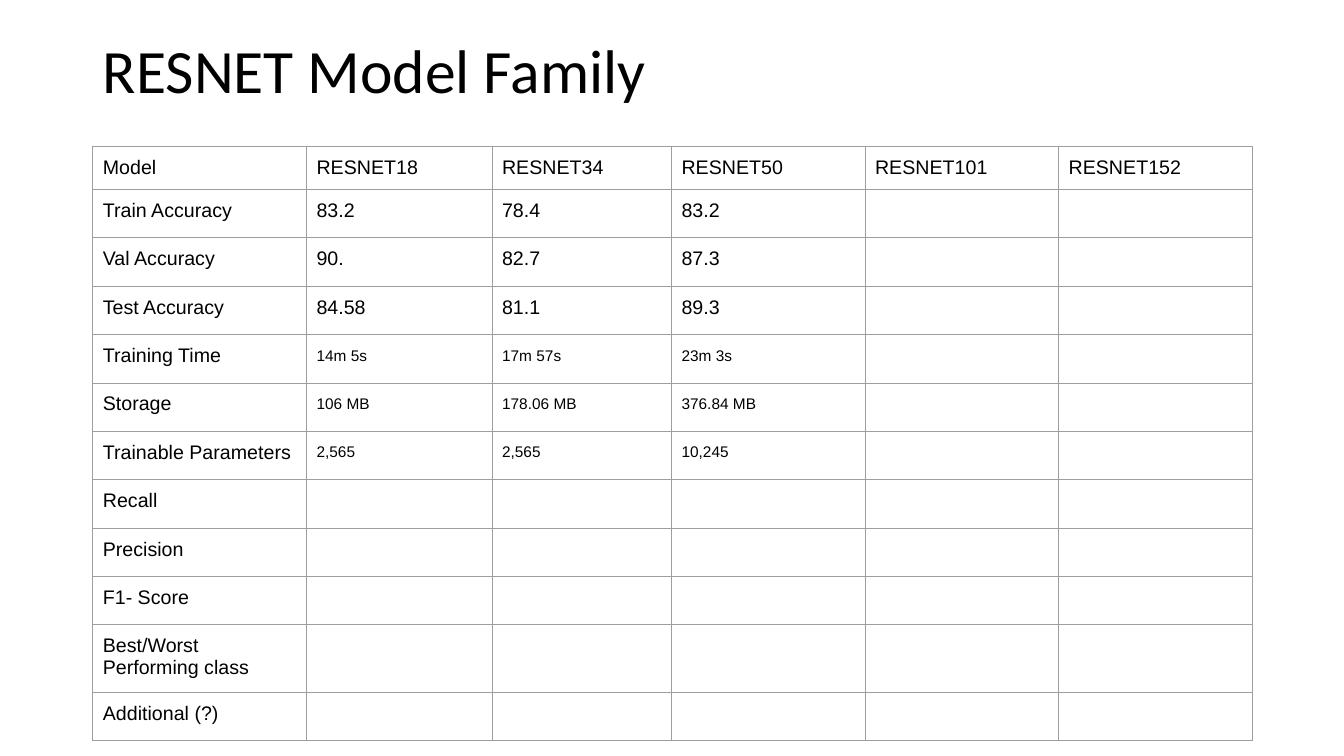
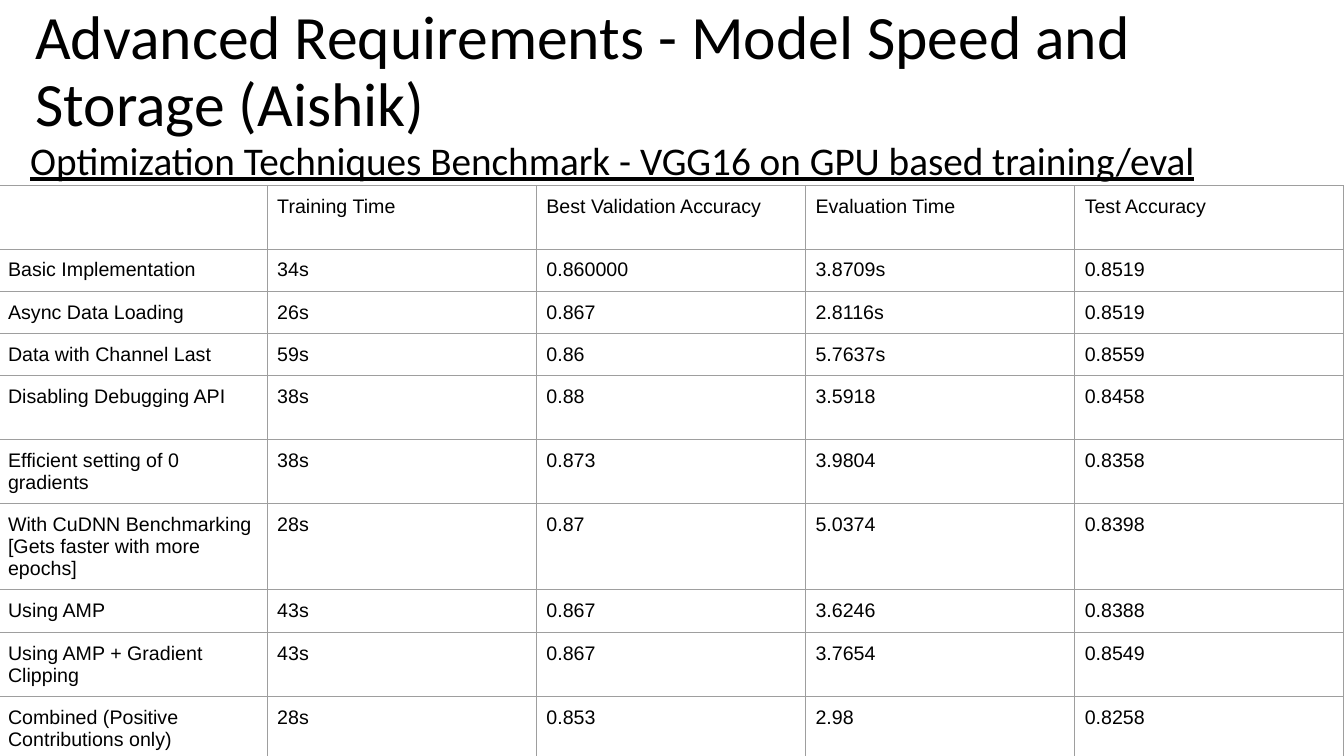
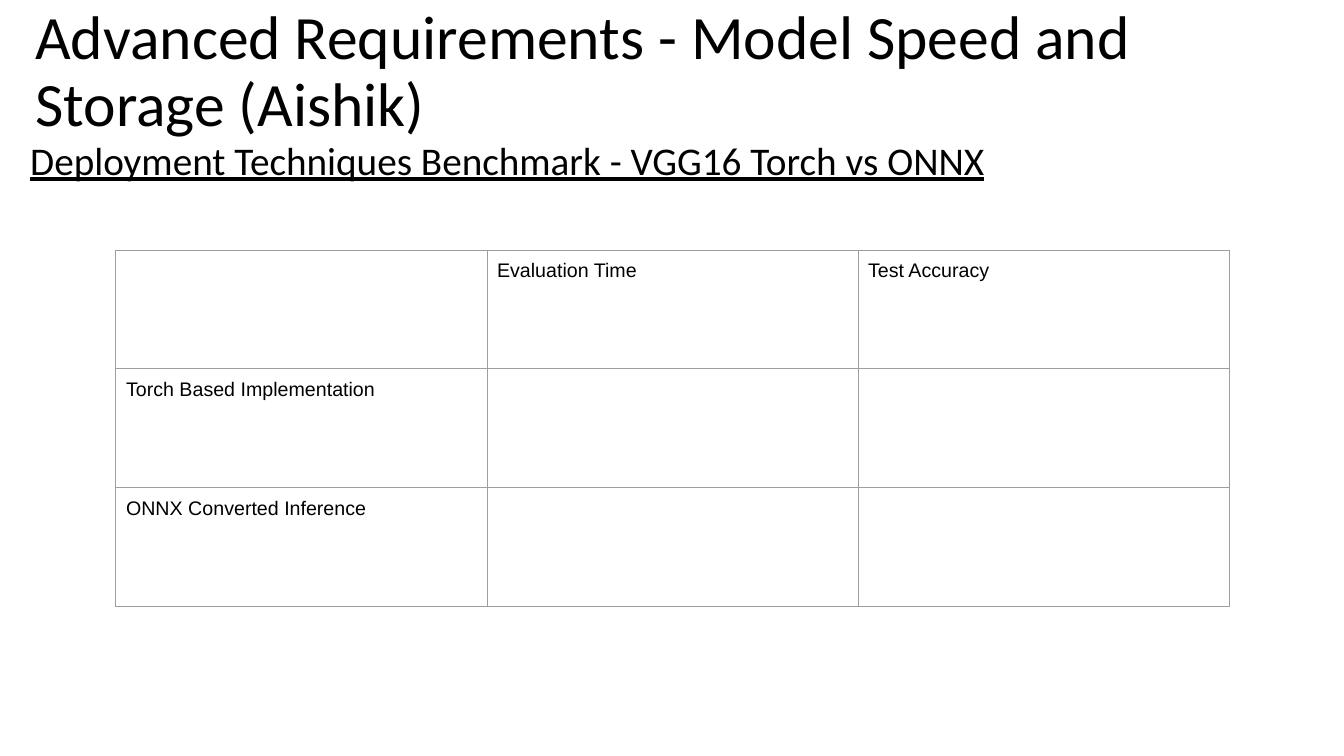
from lxml.etree import SubElement
from pptx import Presentation
from pptx.dml.color import RGBColor as Color
from pptx.enum.text import MSO_ANCHOR as Anchor, MSO_AUTO_SIZE as AutoSize, PP_ALIGN as Align
from pptx.oxml.ns import qn
from pptx.util import Emu, Pt

PX = 9144
THEME = {
    "border": "9E9E9E",
    "border_width": Pt(0.75),
    "cell_margin": 10,
    "empty_margin": 5,
    "ink": Color(0, 0, 0),
    "title": {
        "font": {"name": "Calibri", "size": Pt(44)},
        "paragraph": {"line_spacing": 0.9, "alignment": Align.LEFT},
    },
    "subtitle": {
        "font": {"name": "Calibri", "size": Pt(28), "underline": True},
        "paragraph": {"line_spacing": 0.9, "space_before": Pt(10)},
    },
    "cell": {"font": {"name": "Arial", "size": Pt(14)}, "paragraph": {}},
    "small": {"font": {"name": "Arial", "size": Pt(11)}, "paragraph": {"line_spacing": 1.15}},
}
SPEED_TITLE = "Advanced Requirements - Model Speed and Storage (Aishik)"
SPEED_TITLE_BOX = (25, 0, 1284, 145)
SUBTITLE_BOX = (20, 135, 1313, 615)

PAGES = [
    {
        "title": "RESNET Model Family",
        "title_box": (92, 0, 1150, 145),
        "subtitle": None,
        "origin": (92, 145),
        "columns": [212, 184, 178, 192, 192, 192],
        "heights": [43] + [48] * 9 + [67, 48],
        "small_rows": range(4, 7),
        "rows": [
            ["Model", "RESNET18", "RESNET34", "RESNET50", "RESNET101", "RESNET152"],
            ["Train Accuracy", "83.2", "78.4", "83.2"],
            ["Val Accuracy", "90.", "82.7", "87.3"],
            ["Test Accuracy", "84.58", "81.1", "89.3"],
            ["Training Time", "14m 5s", "17m 57s", "23m 3s"],
            ["Storage", "106 MB", "178.06 MB", "376.84 MB"],
            ["Trainable Parameters", "2,565", "2,565", "10,245"],
            ["Recall"],
            ["Precision"],
            ["F1- Score"],
            ["Best/Worst Performing class"],
            ["Additional (?)"],
        ],
    },
    {
        "title": SPEED_TITLE,
        "title_box": SPEED_TITLE_BOX,
        "subtitle": "Optimization Techniques Benchmark - VGG16 on GPU based training/eval",
        "origin": (-2, 184),
        "columns": [267] * 5,
        "heights": [63, 42, 42, 42, 63, 63, 85, 42, 63, 63],
        "small_rows": [],
        "rows": [
            ["", "Training Time", "Best Validation Accuracy", "Evaluation Time", "Test Accuracy"],
            ["Basic Implementation", "34s", "0.860000", "3.8709s", "0.8519"],
            ["Async Data Loading", "26s", "0.867", "2.8116s", "0.8519"],
            ["Data with Channel Last", "59s", "0.86", "5.7637s", "0.8559"],
            ["Disabling Debugging API", "38s", "0.88", "3.5918", "0.8458"],
            ["Efficient setting of 0 gradients", "38s", "0.873", "3.9804", "0.8358"],
            ["With CuDNN Benchmarking [Gets faster with more epochs]", "28s", "0.87", "5.0374", "0.8398"],
            ["Using AMP", "43s", "0.867", "3.6246", "0.8388"],
            ["Using AMP + Gradient Clipping", "43s", "0.867", "3.7654", "0.8549"],
            ["Combined (Positive Contributions only)", "28s", "0.853", "2.98", "0.8258"],
        ],
    },
    {
        "title": SPEED_TITLE,
        "title_box": SPEED_TITLE_BOX,
        "subtitle": "Deployment Techniques Benchmark - VGG16 Torch vs ONNX",
        "origin": (115, 248),
        "columns": [368] * 3,
        "heights": [118] * 3,
        "small_rows": [],
        "rows": [
            ["", "Evaluation Time", "Test Accuracy"],
            ["Torch Based Implementation"],
            ["ONNX Converted Inference"],
        ],
    },
]


def write(frame, text, style):
    para = frame.paragraphs[0]
    span = para.add_run()
    span.text = text
    span.font.color.rgb = THEME["ink"]
    for name, value in THEME[style]["font"].items():
        setattr(span.font, name, value)
    for name, value in THEME[style]["paragraph"].items():
        setattr(para, name, value)
    return para


def fill_placeholder(holder, box, text, style, anchor):
    for name, value in zip(("left", "top", "width", "height"), box):
        setattr(holder, name, Emu(value * PX))
    frame = holder.text_frame
    frame.word_wrap = True
    frame.auto_size = AutoSize.NONE
    frame.vertical_anchor = anchor
    return write(frame, text, style)


deck = Presentation()
deck.slide_width = Emu(1333 * PX)
deck.slide_height = Emu(750 * PX)
TITLE_AND_BODY, TITLE_ONLY = deck.slide_layouts[1], deck.slide_layouts[5]

for content in PAGES:
    page = deck.slides.add_slide(TITLE_AND_BODY if content["subtitle"] else TITLE_ONLY)
    fill_placeholder(page.shapes.title, content["title_box"], content["title"], "title", Anchor.MIDDLE)
    if content["subtitle"]:
        para = fill_placeholder(page.placeholders[1], SUBTITLE_BOX, content["subtitle"], "subtitle", Anchor.TOP)
        properties = para._p.get_or_add_pPr()
        properties.set("marL", "0")
        properties.set("indent", "0")
        SubElement(properties, qn("a:buNone"))

    columns, heights = content["columns"], content["heights"]
    box = (*content["origin"], sum(columns), sum(heights))
    table = page.shapes.add_table(len(heights), len(columns), *[Emu(value * PX) for value in box]).table
    table.first_row = False
    table.horz_banding = False
    for column, width in zip(table.columns, columns):
        column.width = Emu(width * PX)

    for row_index, (height, texts) in enumerate(zip(heights, content["rows"])):
        table.rows[row_index].height = Emu(height * PX)
        for column_index in range(len(columns)):
            cell = table.cell(row_index, column_index)
            text = texts[column_index] if column_index < len(texts) else ""
            margin = THEME["cell_margin" if text else "empty_margin"]
            for side in ("left", "top", "right", "bottom"):
                setattr(cell, f"margin_{side}", Emu(margin * PX))
            for edge in ("lnL", "lnR", "lnT", "lnB"):
                line = SubElement(cell._tc.get_or_add_tcPr(), qn(f"a:{edge}"), w=str(THEME["border_width"]))
                SubElement(SubElement(line, qn("a:solidFill")), qn("a:srgbClr"), val=THEME["border"])
            cell.fill.background()
            if text:
                small = column_index > 0 and row_index in content["small_rows"]
                write(cell.text_frame, text, "small" if small else "cell")

deck.save("out.pptx")
